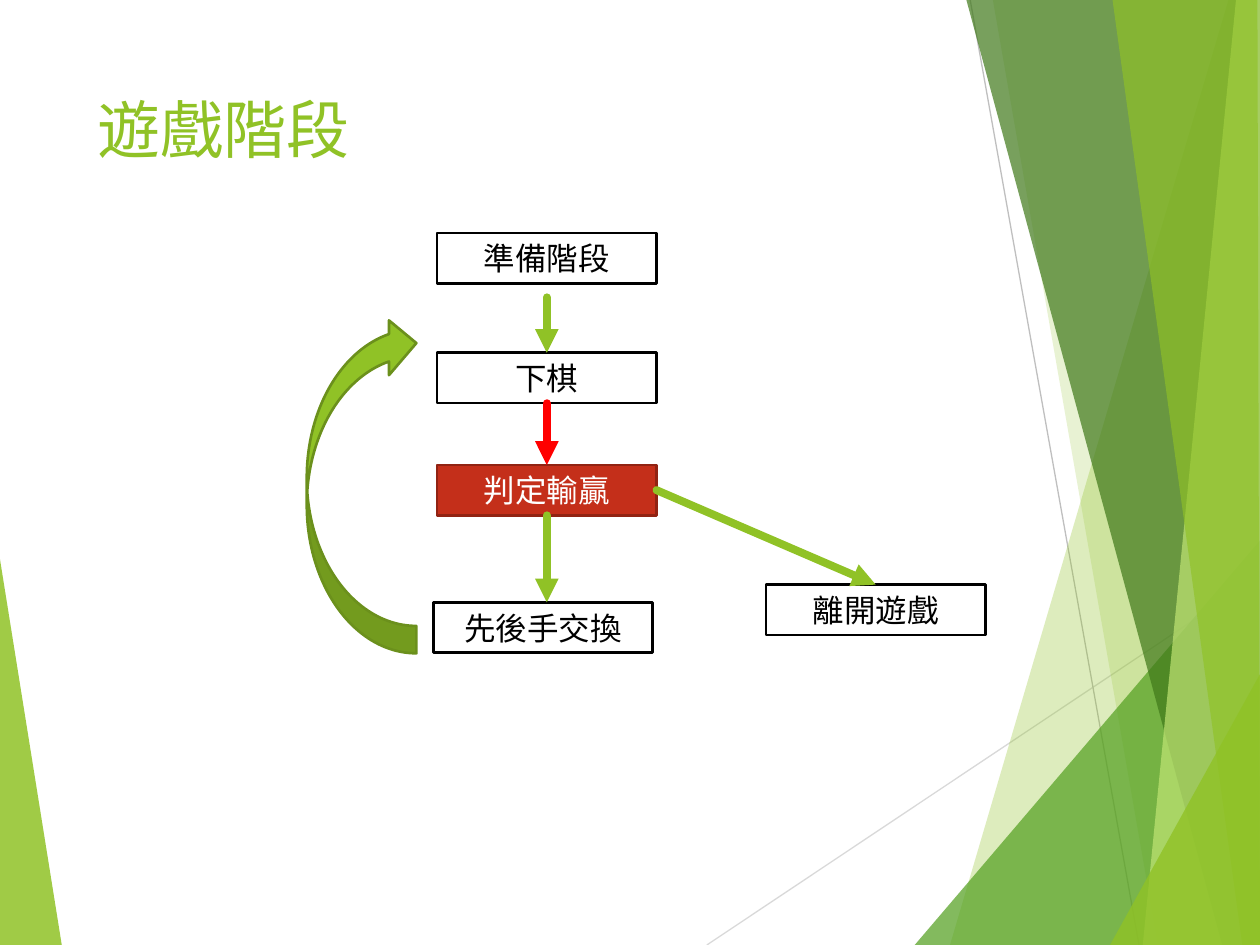
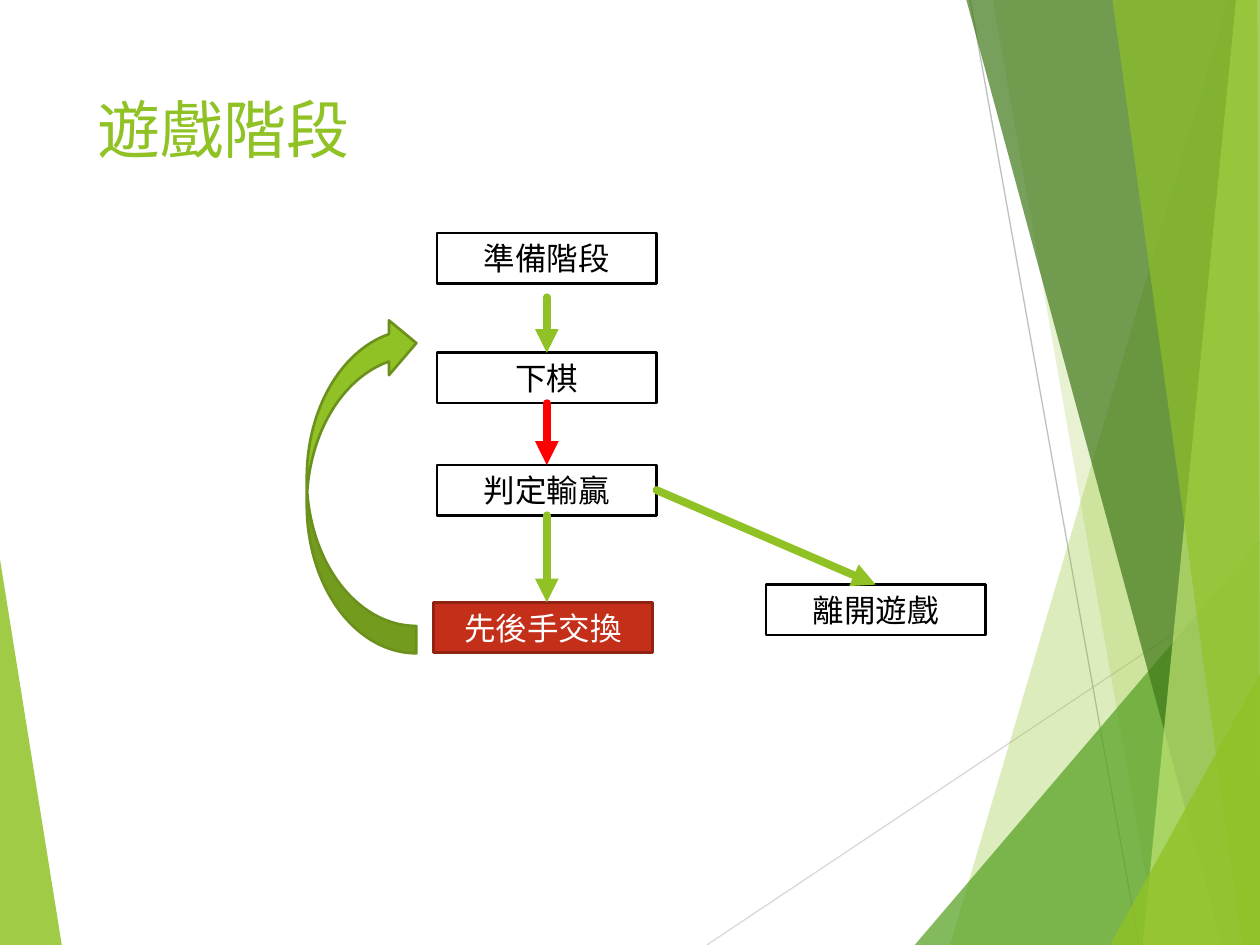
from lxml.etree import SubElement
from pptx import Presentation
from pptx.dml.color import RGBColor
from pptx.enum.shapes import MSO_CONNECTOR, MSO_SHAPE
from pptx.enum.text import MSO_ANCHOR, MSO_AUTO_SIZE, PP_ALIGN
from pptx.oxml.ns import qn
from pptx.util import Pt

PX = 9144
SLIDE_W, SLIDE_H = 1000, 750
FONT = "Roboto"
COLORS = {
    "green": "90C226", "leaf": "54A021", "forest": "3F7819", "lime": "C0E474",
    "olive": "6B901C", "red": "FF0000", "brick": "C42F1A", "maroon": "912313",
    "white": "FFFFFF", "black": "000000", "silver": "BFBFBF", "pale": "D9D9D9",
}

TITLE = "遊戲階段"
TITLE_BOX = (67, 67, 694, 144)
STAGE_W, STAGE_H = 174, 40
STAGES = {
    "準備階段": (347, 185),
    "下棋": (347, 280),
    "判定輸贏": (347, 369),
    "先後手交換": (344, 478),
    "離開遊戲": (608, 464),
}
ACTIVE_STAGES = ["判定輸贏", "先後手交換"]
TOP, BOTTOM, RIGHT = 0, 2, 3
ARROWS = [
    ((434, 236), (434, 280), None, ("下棋", TOP), "green"),
    ((434, 409), (434, 478), ("判定輸贏", BOTTOM), None, "green"),
    ((434, 320), (434, 369), ("下棋", BOTTOM), ("判定輸贏", TOP), "red"),
    ((521, 389), (695, 464), ("判定輸贏", RIGHT), ("離開遊戲", TOP), "green"),
]
LOOP_BOX = (153, 341, 268, 87)

LEFT_FACET = ([(0, 444), (49, 750), (0, 750)], "green", 85)
RAYS = [((561, 750), (1000, 457), "pale"), ((770, 0), (904, 750), "silver")]
RIGHT_FACETS = [
    ([(975, 0), (754, 750), (1000, 750), (1000, 0)], "green", 30),
    ([(788, 0), (919, 750), (1000, 750), (1000, 0)], "green", 20),
    ([(726, 750), (1000, 429), (1000, 750)], "leaf", 72),
    ([(767, 0), (970, 750), (1000, 750), (1000, 0)], "forest", 70),
    ([(981, 0), (907, 750), (1000, 750), (1000, 0)], "lime", 70),
    ([(883, 0), (986, 750), (1000, 750), (998, 0)], "green", 65),
    ([(881, 750), (1000, 535), (1000, 750)], "green", 80),
]


def rgb(name):
    return RGBColor.from_string(COLORS[name])


def emu(values):
    return [v * PX for v in values]


def paint(sp, fill, line=None):
    sp.shadow.inherit = False
    sp.fill.solid()
    sp.fill.fore_color.rgb = rgb(fill)
    if line:
        sp.line.color.rgb = rgb(line)
        sp.line.width = Pt(1.5)
    else:
        sp.line.fill.background()


def style_text(tf, size, color, align):
    p = tf.paragraphs[0]
    p.alignment = align
    font = p.runs[0].font
    font.name, font.size = FONT, Pt(size)
    font.color.rgb = rgb(color)


def add_line(shapes, start, end, color, width):
    c = shapes.add_connector(MSO_CONNECTOR.STRAIGHT, *emu(start + end))
    c.line.color.rgb = rgb(color)
    c.line.width = Pt(width)
    SubElement(c.element.spPr, qn("a:effectLst"))
    return c


def add_facet(shapes, points, color, opacity):
    builder = shapes.build_freeform(*points[0], scale=PX)
    builder.add_line_segments(points[1:], close=True)
    sp = builder.convert_to_shape()
    paint(sp, color)
    clr = sp.element.spPr.find(".//" + qn("a:srgbClr"))
    SubElement(clr, qn("a:alpha"), val=str(opacity * 1000))


def add_backdrop(s, layout):
    for ph in list(layout.placeholders)[1:]:
        ph.element.getparent().remove(ph.element)
    group = s.shapes.add_group_shape()
    add_facet(group.shapes, *LEFT_FACET)
    for start, end, color in RAYS:
        add_line(group.shapes, start, end, color, 0.75)
    for facet in RIGHT_FACETS:
        add_facet(group.shapes, *facet)
    layout.shapes.element.insert(2, group.element)


def add_title(s):
    title = s.shapes.title
    title.left, title.top, title.width, title.height = emu(TITLE_BOX)
    tf = title.text_frame
    tf.text = TITLE
    tf.vertical_anchor = MSO_ANCHOR.TOP
    style_text(tf, 36, "green", PP_ALIGN.LEFT)


def add_stage(s, name, place, active):
    sp = s.shapes.add_shape(MSO_SHAPE.RECTANGLE, *emu(place + (STAGE_W, STAGE_H)))
    fill, line, ink = ("brick", "maroon", "white") if active else ("white", "black", "black")
    paint(sp, fill, line)
    tf = sp.text_frame
    tf.text = name
    tf.word_wrap = True
    tf.auto_size = MSO_AUTO_SIZE.SHAPE_TO_FIT_TEXT
    style_text(tf, 18, ink, PP_ALIGN.CENTER)
    return sp


def add_arrow(s, stages, start, end, source, target, color):
    c = add_line(s.shapes, start, end, color, 4.5)
    if source:
        c.begin_connect(stages[source[0]], source[1])
    if target:
        c.end_connect(stages[target[0]], target[1])
    ln = c.element.spPr.find(qn("a:ln"))
    ln.set("cap", "rnd")
    SubElement(ln, qn("a:tailEnd"), type="triangle")


def add_loop(s):
    sp = s.shapes.add_shape(MSO_SHAPE.CURVED_DOWN_ARROW, *emu(LOOP_BOX))
    sp.rotation = 270
    paint(sp, "green", "olive")


def main():
    prs = Presentation()
    prs.slide_width, prs.slide_height = emu((SLIDE_W, SLIDE_H))
    layout = prs.slide_layouts[5]
    for active in ACTIVE_STAGES:
        s = prs.slides.add_slide(layout)
        if len(prs.slides) == 1:
            add_backdrop(s, layout)
        add_title(s)
        stages = {name: add_stage(s, name, place, name == active)
                  for name, place in STAGES.items()}
        for arrow in ARROWS:
            add_arrow(s, stages, *arrow)
        add_loop(s)
    prs.save("out.pptx")


if __name__ == "__main__":
    main()
